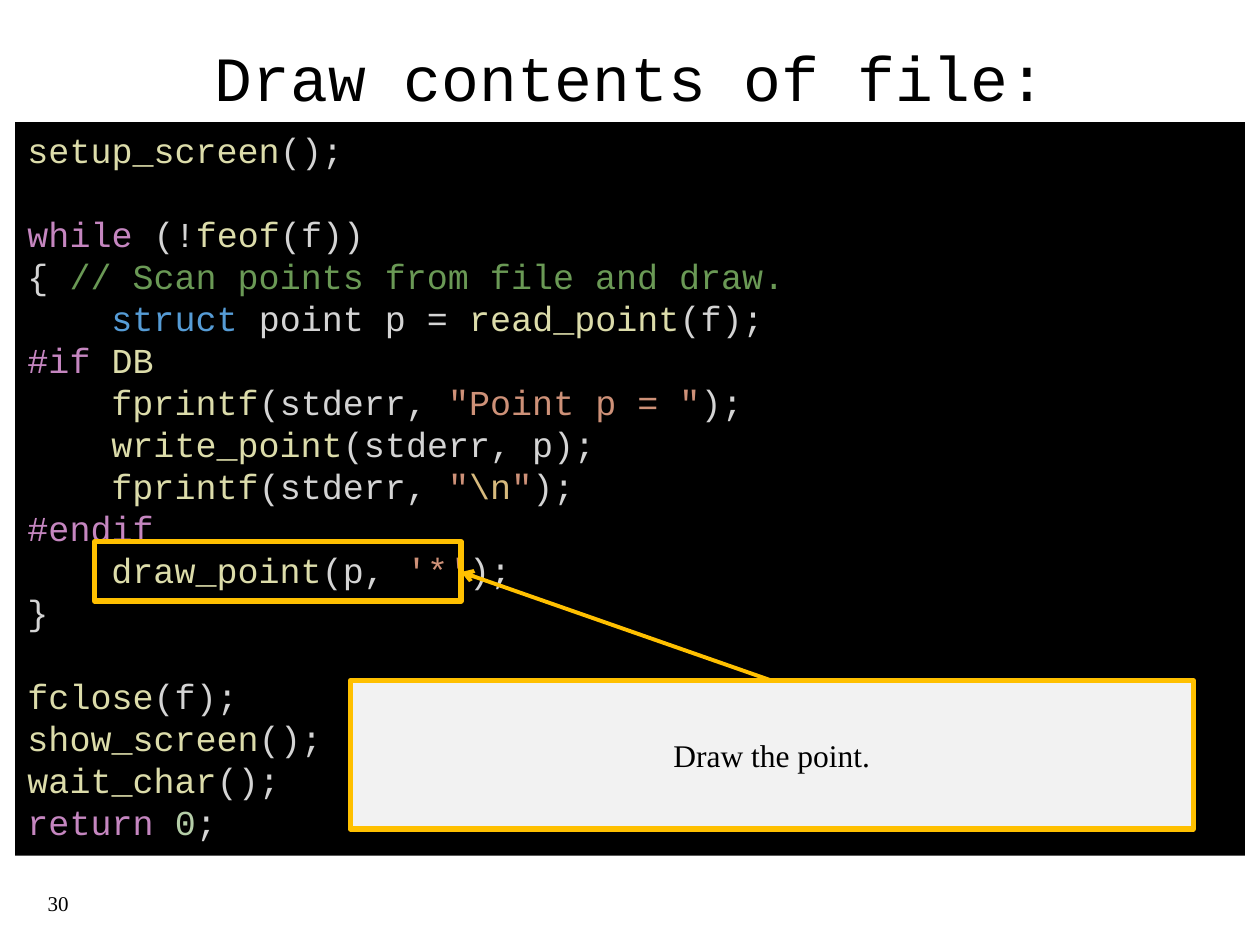
from dataclasses import dataclass
from lxml.etree import SubElement
from pptx import Presentation
from pptx.dml.color import RGBColor
from pptx.enum.shapes import MSO_CONNECTOR as Connector, MSO_SHAPE as Shape
from pptx.enum.text import MSO_ANCHOR as Anchor, PP_ALIGN as Align
from pptx.oxml.ns import qn
from pptx.util import Inches, Pt


@dataclass(frozen=True)
class Theme:
    mono: str = "Courier New"
    serif: str = "Times New Roman"
    title_size: int = 36
    code_size: int = 20
    code_pitch: int = 24
    note_size: int = 18
    number_size: int = 12
    ink: str = "000000"
    panel: str = "000000"
    note_fill: str = "F2F2F2"
    accent: str = "FFC000"
    # Syntax colours
    plain: str = "D4D4D4"
    call: str = "DCDCAA"
    keyword: str = "C586C0"
    comment: str = "6A9955"
    type: str = "569CD6"
    string: str = "CE9178"
    escape: str = "D7BA7D"
    number: str = "B5CEA8"


THEME = Theme()

# Each line: indent level, blank lines above, (text, syntax role) pairs
CODE = [
    (0, 0, [("setup_screen", "call"), ("();", "plain")]),
    (0, 1, [("while", "keyword"), (" (!", "plain"), ("feof", "call"), ("(f))", "plain")]),
    (0, 0, [("{ ", "plain"), ("// Scan points from file and draw.", "comment")]),
    (1, 0, [("struct ", "type"), ("point p = ", "plain"), ("read_point", "call"),
            ("(f);", "plain")]),
    (0, 0, [("#if ", "keyword"), ("DB", "call")]),
    (1, 0, [("fprintf", "call"), ("(stderr, ", "plain"), ('"Point p = "', "string"),
            (");", "plain")]),
    (1, 0, [("write_point", "call"), ("(stderr, p);", "plain")]),
    (1, 0, [("fprintf", "call"), ("(stderr, ", "plain"), ('"', "string"),
            ("\\n", "escape"), ('"', "string"), (");", "plain")]),
    (0, 0, [("#endif", "keyword")]),
    (1, 0, [("draw_point", "call"), ("(p, ", "plain"), ("'*'", "string"), (");", "plain")]),
    (0, 0, [("}", "plain")]),
    (0, 1, [("fclose", "call"), ("(f);", "plain")]),
    (0, 0, [("show_screen", "call"), ("();", "plain")]),
    (0, 0, [("wait_char", "call"), ("();", "plain")]),
    (0, 0, [("return ", "keyword"), ("0", "number"), (";", "plain")]),
]


def rgb(value):
    return RGBColor.from_string(value)


def set_font(font, name, size):
    font.name = name
    font.size = Pt(size)


def write_line(box, text, name, size, align=Align.LEFT):
    frame = box.text_frame
    frame.word_wrap = True
    frame.vertical_anchor = Anchor.MIDDLE
    para = frame.paragraphs[0]
    para.text = text
    para.alignment = align
    set_font(para.font, name, size)
    para.font.color.rgb = rgb(THEME.ink)


def add_label(page, area, text, name, size, align=Align.LEFT):
    box = page.shapes.add_textbox(*map(Inches, area))
    write_line(box, text, name, size, align)


def add_rect(page, area, fill=None, line=None):
    box = page.shapes.add_shape(Shape.RECTANGLE, *map(Inches, area))
    box.shadow.inherit = False
    if fill:
        box.fill.solid()
        box.fill.fore_color.rgb = rgb(fill)
    else:
        box.fill.background()
    if line:
        box.line.color.rgb = rgb(line)
        box.line.width = Pt(3)
    else:
        box.line.fill.background()
    return box


def add_code(page, area):
    frame = add_rect(page, area, fill=THEME.panel).text_frame
    frame.word_wrap = True
    frame.vertical_anchor = Anchor.TOP
    for index, (level, blanks, spans) in enumerate(CODE):
        para = frame.add_paragraph() if index else frame.paragraphs[0]
        para.alignment = Align.LEFT
        para.line_spacing = Pt(THEME.code_pitch)
        para.space_before = Pt(blanks * THEME.code_pitch)
        set_font(para.font, THEME.mono, THEME.code_size)
        # One level is four characters, each 0.6 em wide
        indent = Pt(level * 4 * 0.6 * THEME.code_size)
        para._p.get_or_add_pPr().set("marL", str(int(indent)))
        for text, role in spans:
            span = para.add_run()
            span.text = text
            span.font.color.rgb = rgb(getattr(THEME, role))


def add_arrow(page, start, end):
    arrow = page.shapes.add_connector(Connector.STRAIGHT, *map(Inches, start + end))
    arrow.line.color.rgb = rgb(THEME.accent)
    arrow.line.width = Pt(2.25)
    SubElement(arrow.line._get_or_add_ln(), qn("a:tailEnd"), type="arrow")
    SubElement(arrow._element.spPr, qn("a:effectLst"))


def main():
    deck = Presentation()
    deck.slide_width, deck.slide_height = Inches(10), Inches(7.5)
    page = deck.slides.add_slide(deck.slide_layouts[6])

    # Code panel, title and slide number
    add_code(page, (0.12, 0.97, 9.76, 5.82))
    add_label(page, (0.28, 0.06, 9.45, 1.09), "Draw contents of file:",
              THEME.mono, THEME.title_size, Align.CENTER)
    add_label(page, (0.28, 6.97, 7.32, 0.4), "30", THEME.serif, THEME.number_size)

    # Highlighted call and its explanation
    add_rect(page, (0.75, 4.3, 2.91, 0.47), line=THEME.accent)
    note = add_rect(page, (2.78, 5.4, 6.69, 1.18), THEME.note_fill, THEME.accent)
    write_line(note, "Draw the point.", THEME.serif, THEME.note_size, Align.CENTER)
    add_arrow(page, (6.12, 5.4), (3.66, 4.54))

    deck.save("out.pptx")


if __name__ == "__main__":
    main()
